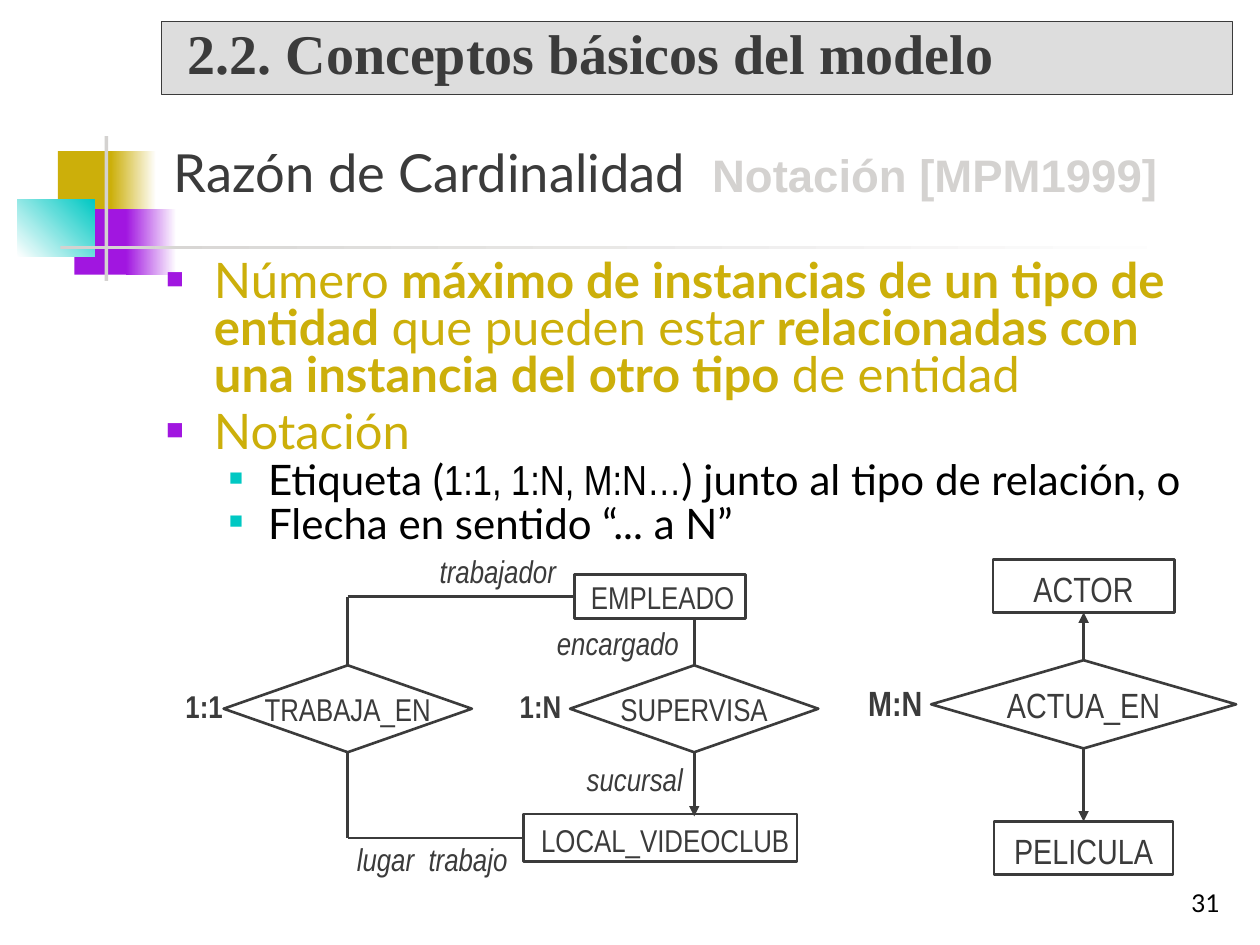
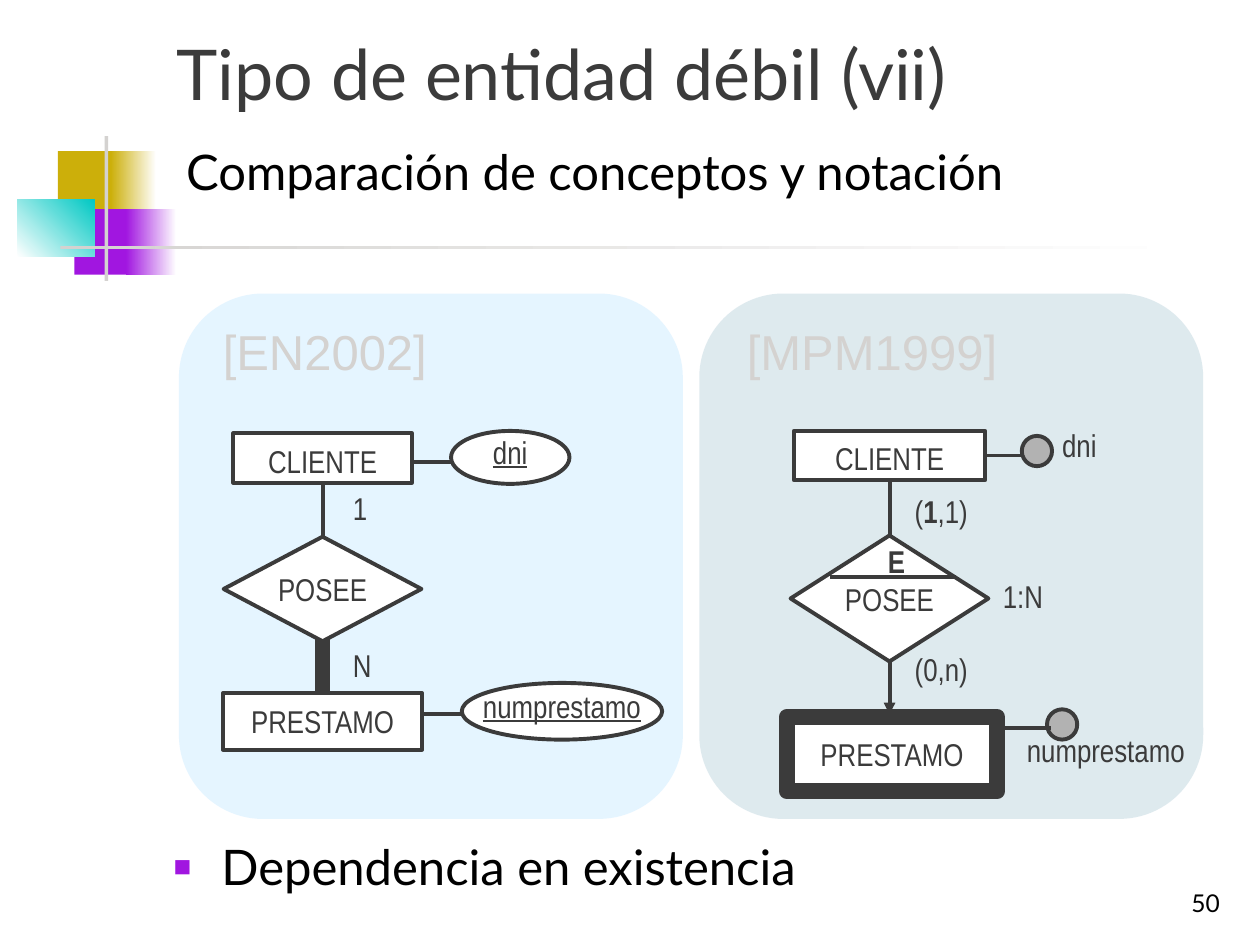
from lxml.etree import SubElement
from pptx import Presentation
from pptx.dml.color import RGBColor
from pptx.enum.shapes import MSO_CONNECTOR, MSO_SHAPE as SHAPE
from pptx.enum.text import MSO_ANCHOR as ANCHOR, MSO_AUTO_SIZE, PP_ALIGN as ALIGN
from pptx.oxml.ns import qn
from pptx.util import Inches, Pt

# Shared look
WIDTH, HEIGHT = 10, 7.5
INK, BLACK, WHITE = "3B3B3B", "000000", "FFFFFF"
GOLD, PURPLE, TEAL, SILVER = "CCAF0A", "A116E0", "00C8C3", "D4D2D0"
BAND, KEY_DOT = "DDDDDD", "B2B2B2"
BODY, NARROW = "Lato", "Arial Narrow"
LABEL_INSET = (0, 0.05, 0, 0.01)

# Corner motif: left, top, width, height, colours from left to right, angle
MOTIF = [
    (0.46, 1.2, 0.48, 0.52, [GOLD], 0),
    (0.88, 1.2, 0.36, 0.52, [GOLD, WHITE], 0),
    (0.59, 1.66, 0.46, 0.52, [PURPLE], 0),
    (1, 1.66, 0.4, 0.52, [PURPLE, WHITE], 0),
    (0.14, 1.58, 0.61, 0.46, [WHITE, TEAL], 45),
    (0.83, 1.08, 0.03, 1.15, [SILVER], 0),
    (0.48, 1.95, 9, 0.03, [SILVER, WHITE], 0),
]

# Slide 1: text
SECTION = "2.2. Conceptos básicos del modelo"
CARDINALITY_TITLE = [
    ("Razón de Cardinalidad  ", {}),
    ("Notación [MPM1999]", dict(size=26, font="Arial", color=SILVER, bold=True)),
]
STRONG = dict(bold=True)
CARDINALITY_POINTS = [
    (0, [("Número ", {}),
         ("máximo de instancias de un tipo de entidad", STRONG),
         (" que pueden estar ", {}),
         ("relacionadas con una instancia del otro tipo", STRONG),
         (" de entidad", {})]),
    (0, "Notación"),
    (1, [("Etiqueta (", {}), ("1:1, 1:N, M:N…", dict(font=NARROW)),
         (") junto al tipo de relación, o", {})]),
    (1, "Flecha en sentido “... a N”"),
]
LEVELS = [
    dict(size=28, color=GOLD, bullet=(PURPLE, 60), indent=(0.38, -0.38), spacing=0.8, before=5.6),
    dict(size=24, color=BLACK, bullet=(TEAL, 55), indent=(0.81, -0.31), spacing=0.7, before=4.8),
]

# Diagrams, from back to front:
#   node: shape, text, centre x, top, width, height, format
#   line: start, end, format; an end is a point or (node, side)
#   note: text, left, top, width, format
TOP, LEFT, BOTTOM, RIGHT = range(4)
ITALIC = dict(italic=True)
MIDDLE = dict(align=ALIGN.CENTER)
ARROW = dict(arrow=True)

ACTORS_X = 8.6
ACTORS = [
    ("rect", "ACTOR", ACTORS_X, 4.44, 1.44, 0.42, {}),
    ("rect", "PELICULA", ACTORS_X, 6.52, 1.42, 0.42, {}),
    ("diamond", "ACTUA_EN", ACTORS_X, 5.24, 2.42, 0.7, {}),
    ("line", ("ACTUA_EN", BOTTOM), ("PELICULA", TOP), ARROW),
    ("line", ("ACTUA_EN", TOP), ("ACTOR", BOTTOM), ARROW),
    ("note", "M:N", 6.89, 5.36, 0.46, STRONG),
]

WORKS_X, RUNS_X = 2.76, 5.51
STAFF = [
    ("rect", "EMPLEADO", 5.24, 4.56, 1.36, 0.35, dict(inset=(0.08, 0.01, 0.04, 0.01))),
    ("rect", "LOCAL_VIDEOCLUB", 5.24, 6.46, 2.17, 0.38, dict(inset=(0.08, 0.05, 0, 0.01))),
    ("diamond", "TRABAJA_EN", WORKS_X, 5.28, 1.97, 0.69, {}),
    ("diamond", "SUPERVISA", RUNS_X, 5.28, 1.97, 0.69, {}),
    ("line", ("SUPERVISA", BOTTOM), (RUNS_X, 6.48), ARROW),
    ("line", ("SUPERVISA", TOP), (RUNS_X, 4.91), {}),
    ("line", ("TRABAJA_EN", BOTTOM), (WORKS_X, 6.65), {}),
    ("line", ("TRABAJA_EN", TOP), (WORKS_X, 4.735), {}),
    ("line", (WORKS_X, 4.735), ("EMPLEADO", LEFT), {}),
    ("line", (WORKS_X, 6.65), ("LOCAL_VIDEOCLUB", LEFT), {}),
    ("note", "trabajador", 3.49, 4.33, 1, ITALIC),
    ("note", "encargado", 4.42, 4.9, 1, ITALIC),
    ("note", "sucursal", 4.42, 5.98, 1, dict(italic=True, align=ALIGN.RIGHT)),
    ("note", "lugar  trabajo", 2.74, 6.62, 1.38, ITALIC | MIDDLE),
    ("note", "1:1", 1.39, 5.4, 0.46, STRONG | MIDDLE),
    ("note", "1:N", 4.06, 5.4, 0.46, STRONG | MIDDLE),
]

# Slide 2: text and diagrams
WEAK_TITLE = "Tipo de entidad débil (vii)"
WEAK_SUBTITLE = "Comparación de conceptos y notación"
WEAK_POINT = "Dependencia en existencia"
KEY = dict(underline=True, inset=(0, 0, 0, 0.08))

EN_X = 2.56
EN_NOTATION = [
    ("rect", "CLIENTE", EN_X, 3.44, 1.42, 0.39, {}),
    ("rect", "PRESTAMO", EN_X, 5.5, 1.58, 0.45, dict(inset=(0, 0, 0, 0))),
    ("line", (EN_X, 5), ("PRESTAMO", TOP), dict(weight=9)),
    ("line", (3.35, 5.67), (3.66, 5.67), {}),
    ("ellipse", "numprestamo", 4.46, 5.42, 1.59, 0.45, KEY),
    ("diamond", "POSEE", EN_X, 4.26, 1.57, 0.83, {}),
    ("line", ("POSEE", TOP), ("CLIENTE", BOTTOM), {}),
    ("line", (3.27, 3.67), (3.58, 3.67), {}),
    ("ellipse", "dni", 4.05, 3.42, 0.94, 0.42, KEY),
    ("note", "1", 2.8, 3.83, 0.15, {}),
    ("note", "N", 2.8, 5.08, 0.15, {}),
]

MPM_X = 7.06
MPM_NOTATION = [
    ("note", "numprestamo", 8.15, 5.75, 1.26, dict(wrap=False)),
    ("rect", "CLIENTE", MPM_X, 3.42, 1.52, 0.39, {}),
    ("rect", "PRESTAMO", MPM_X + 0.02, 5.69, 1.67, 0.59, dict(weight=9, inset=(0, 0.01, 0, 0.01))),
    ("ellipse", "", 8.43, 5.63, 0.24, 0.24, dict(fill=KEY_DOT)),
    ("diamond", "POSEE", MPM_X, 4.25, 1.57, 1, {}),
    ("line", ("POSEE", BOTTOM), (MPM_X, 5.67), ARROW),
    ("line", ("POSEE", TOP), ("CLIENTE", BOTTOM), {}),
    ("note", "1:N", 7.96, 4.53, 0.54, {}),
    ("note", "E", 6.92, 4.25, 0.39, STRONG | MIDDLE),
    ("line", ("CLIENTE", RIGHT), (8.11, 3.615), {}),
    ("ellipse", "", 8.23, 3.46, 0.24, 0.24, dict(fill=KEY_DOT)),
    ("note", "dni", 8.43, 3.33, 0.27, dict(wrap=False)),
    ("line", (6.59, 4.58), (7.59, 4.58), {}),
    ("line", (7.96, 5.78), (8.34, 5.78), {}),
    ("note", [("(", {}), ("1", STRONG), (",1)", {})], 7.26, 3.86, 0.57, {}),
    ("note", "(0,n)", 7.26, 5.11, 0.57, {}),
]

# Panels: left, colour, heading, heading's left, diagram
PANELS = [
    (1.42, "CCECFF", "[EN2002]", 1.67, EN_NOTATION),
    (5.55, "BFD6DF", "[MPM1999]", 5.83, MPM_NOTATION),
]


def rgb(code):
    return RGBColor.from_string(code)


def add_bullet(para, color, percent):
    props = para._p.get_or_add_pPr()
    SubElement(SubElement(props, qn("a:buClr")), qn("a:srgbClr"), val=color)
    SubElement(props, qn("a:buSzPct"), val=str(percent * 1000))
    SubElement(props, qn("a:buFont"), typeface="Arial")
    SubElement(props, qn("a:buChar"), char="■")


def write(box, text, size=18, font=NARROW, color=INK, bold=False, italic=False,
          underline=False, align=ALIGN.LEFT, anchor=ANCHOR.TOP, inset=(0.1, 0.05, 0.1, 0.05),
          wrap=True, bullet=None, indent=None, spacing=None, before=0, append=False):
    """Write one paragraph; text is a string or a list of (text, changes)."""
    frame = box.text_frame
    frame.auto_size = MSO_AUTO_SIZE.NONE
    frame.word_wrap, frame.vertical_anchor = wrap, anchor
    (frame.margin_left, frame.margin_top,
     frame.margin_right, frame.margin_bottom) = map(Inches, inset)
    para = frame.add_paragraph() if append else frame.paragraphs[0]
    if bullet:
        add_bullet(para, *bullet)
    if indent:
        props = para._p.get_or_add_pPr()
        props.set("marL", str(Inches(indent[0])))
        props.set("indent", str(Inches(indent[1])))
    para.alignment, para.space_before = align, Pt(before)
    if spacing:
        para.line_spacing = spacing
    base = dict(size=size, font=font, color=color, bold=bold, italic=italic)
    for part, changes in [(text, {})] if isinstance(text, str) else text:
        look = base | changes
        span = para.add_run()
        span.text = part
        span.font.size, span.font.name = Pt(look["size"]), look["font"]
        span.font.color.rgb = rgb(look["color"])
        span.font.bold, span.font.italic = look["bold"], look["italic"]
        span.font.underline = underline


def add_text(page, text, left, top, width, height, **look):
    box = page.shapes.add_textbox(*map(Inches, (left, top, width, height)))
    write(box, text, **look)
    return box


def add_figure(page, kind, left, top, width, height, fills, line=None, weight=1.5, angle=0):
    figure = page.shapes.add_shape(kind, *map(Inches, (left, top, width, height)))
    figure.shadow.inherit = False
    if len(fills) > 1:
        figure.fill.gradient()
        figure.fill.gradient_angle = angle
        for stop, color in zip(figure.fill.gradient_stops, fills):
            stop.color.rgb = rgb(color)
    else:
        figure.fill.solid()
        figure.fill.fore_color.rgb = rgb(fills[0])
    if line:
        figure.line.color.rgb, figure.line.width = rgb(line), Pt(weight)
    else:
        figure.line.fill.background()
    return figure


def side_point(figure, side):
    across = {LEFT: 0, RIGHT: figure.width}.get(side, figure.width // 2)
    down = {TOP: 0, BOTTOM: figure.height}.get(side, figure.height // 2)
    return figure.left + across, figure.top + down


def add_line(page, nodes, start, end, weight, arrow=False):
    joins = [isinstance(point[0], str) for point in (start, end)]
    points = [side_point(nodes[point[0]], point[1]) if joined else tuple(map(Inches, point))
              for point, joined in zip((start, end), joins)]
    line = page.shapes.add_connector(MSO_CONNECTOR.STRAIGHT, *points[0], *points[1])
    if joins[0]:
        line.begin_connect(nodes[start[0]], start[1])
    if joins[1]:
        line.end_connect(nodes[end[0]], end[1])
    line.line.color.rgb, line.line.width = rgb(INK), Pt(weight)
    if arrow:
        SubElement(line.line._get_or_add_ln(), qn("a:tailEnd"), type="triangle")
    SubElement(line._element.spPr, qn("a:effectLst"))


def draw_diagram(page, items, size, weight):
    kinds = dict(rect=SHAPE.RECTANGLE, diamond=SHAPE.DIAMOND, ellipse=SHAPE.OVAL)
    nodes = {}
    for kind, *place, look in items:
        if kind == "line":
            add_line(page, nodes, *place, **({"weight": weight} | look))
        elif kind == "note":
            add_text(page, *place, 0.36, **(dict(size=size, inset=LABEL_INSET) | look))
        else:
            name, centre, top, width, height = place
            look = dict(look)
            fill, edge = look.pop("fill", WHITE), look.pop("weight", weight)
            node = add_figure(page, kinds[kind], centre - width / 2, top, width, height,
                              [fill], INK, edge)
            if name:
                inset = LABEL_INSET if kind == "rect" else (0, 0, 0, 0)
                write(node, name, **(dict(size=size, align=ALIGN.CENTER, wrap=False,
                                          anchor=ANCHOR.MIDDLE, inset=inset) | look))
                nodes[name] = node


def new_page(deck, title, size, place, number):
    """Title-only page with the corner motif and the page number."""
    page = deck.slides.add_slide(deck.slide_layouts[5])
    for *area, fills, angle in MOTIF:
        add_figure(page, SHAPE.RECTANGLE, *area, fills, angle=angle)
    box = page.shapes.title
    box.left, box.top, box.width, box.height = map(Inches, place)
    write(box, title, size=size, font=BODY, anchor=ANCHOR.BOTTOM)
    add_text(page, number, 7.7, 6.83, 2.08, 0.5, size=14, font=BODY, color=BLACK,
             align=ALIGN.RIGHT, anchor=ANCHOR.BOTTOM)
    return page


def cardinality_page(deck):
    page = new_page(deck, CARDINALITY_TITLE, 30, (1.28, 0.83, 8.5, 0.83), "31")
    body = page.shapes.add_textbox(*map(Inches, (1.22, 2.02, 8.5, 2.32)))
    for index, (level, text) in enumerate(CARDINALITY_POINTS):
        look = LEVELS[level] | (dict(append=True) if index else dict(before=0))
        write(body, text, font=BODY, **look)
    draw_diagram(page, ACTORS, 20, 1.5)
    draw_diagram(page, STAFF, 18, 1.5)
    band = add_figure(page, SHAPE.RECTANGLE, 1.28, 0.17, 8.5, 0.58, [BAND], INK, 0.75)
    write(band, SECTION, size=32, font="Times New Roman", bold=True, spacing=0.8,
          anchor=ANCHOR.MIDDLE, inset=(0.21, 0.05, 0.1, 0.05))


def weak_entity_page(deck):
    page = new_page(deck, WEAK_TITLE, 40, (1.3, 0.21, 8.52, 0.75), "50")
    add_text(page, WEAK_SUBTITLE, 1.38, 1.07, 8.5, 0.51, size=28, font=BODY, color=BLACK)
    for left, color, heading, heading_left, items in PANELS:
        panel = add_figure(page, SHAPE.ROUNDED_RECTANGLE, left, 2.33, 4, 4.17, [color])
        tint = panel._element.spPr.find(qn("a:solidFill"))[0]
        SubElement(tint, qn("a:alpha"), val="50000")
        add_text(page, heading, heading_left, 2.5, 3, 0.55, size=28, font="Arial", color=SILVER)
        draw_diagram(page, items, 18, 2.25)
    add_text(page, WEAK_POINT, 1.28, 6.59, 8.5, 0.51, font=BODY,
             **(LEVELS[0] | dict(color=BLACK, spacing=None, before=0)))


def main():
    deck = Presentation()
    deck.slide_width, deck.slide_height = Inches(WIDTH), Inches(HEIGHT)
    cardinality_page(deck)
    weak_entity_page(deck)
    deck.save("out.pptx")


if __name__ == "__main__":
    main()
